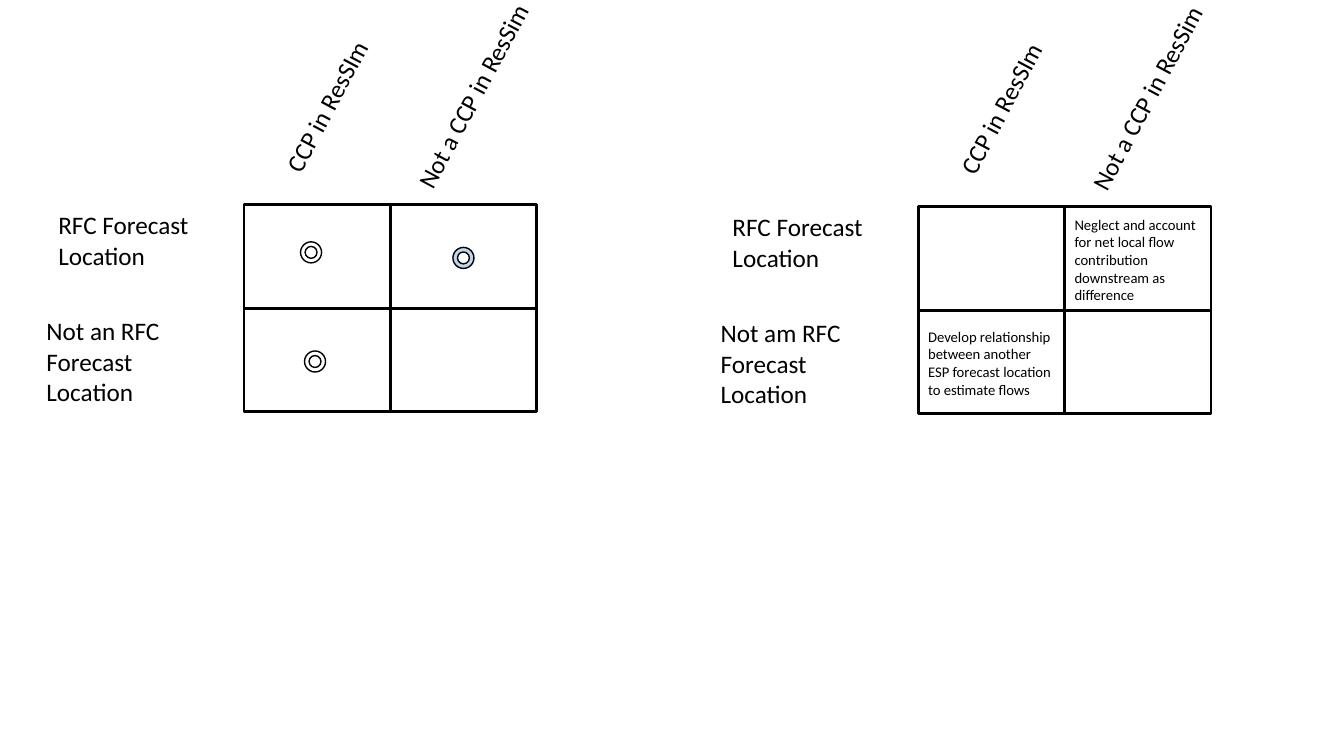
import pptx
import pptx.util
import pptx.dml.color
import pptx.enum.shapes
import pptx.enum.text
import pptx.oxml.ns
from lxml import etree
from pptx.util import Cm

COLORS = {"ink": "000000", "paper": "FFFFFF", "highlight": "BDD7EE"}
CELL_WIDTH, CELL_HEIGHT = 3.69, 2.61


def color(name):
    return pptx.dml.color.RGBColor.from_string(COLORS[name])


class MatrixPage:
    """Draws on one page in a shared style; lengths are centimetres."""

    font = "Calibri"
    shapes_kind = pptx.enum.shapes.MSO_SHAPE

    def __init__(self, page):
        self.page = page

    def outline(self, item, weight):
        item.line.color.rgb = color("ink")
        item.line.width = pptx.util.Pt(weight)

    def shape(self, kind, left, top, width, height, fill=None, weight=1):
        box = self.page.shapes.add_shape(kind, Cm(left), Cm(top), Cm(width), Cm(height))
        box.shadow.inherit = False
        if fill:
            box.fill.solid()
            box.fill.fore_color.rgb = color(fill)
        else:
            box.fill.background()
        self.outline(box, weight)

    def line(self, left, top, right, bottom):
        rule = self.page.shapes.add_connector(
            pptx.enum.shapes.MSO_CONNECTOR.STRAIGHT,
            Cm(left), Cm(top), Cm(right), Cm(bottom))
        self.outline(rule, 2)
        etree.SubElement(rule._element.spPr, pptx.oxml.ns.qn("a:effectLst"))

    def text(self, words, left, top, width, height, size=18, rotation=0):
        box = self.page.shapes.add_textbox(Cm(left), Cm(top), Cm(width), Cm(height))
        box.rotation = rotation
        frame = box.text_frame
        frame.word_wrap = rotation == 0
        frame.auto_size = pptx.enum.text.MSO_AUTO_SIZE.SHAPE_TO_FIT_TEXT
        frame.text = words
        font = frame.paragraphs[0].runs[0].font
        font.name = self.font
        font.size = pptx.util.Pt(size)
        font.color.rgb = color("ink")

    def matrix(self, left, top, second_row):
        width, height = 2 * CELL_WIDTH, 2 * CELL_HEIGHT
        self.shape(self.shapes_kind.RECTANGLE, left, top, width, height, weight=2)
        # Slanted column labels
        self.text("CCP in ResSIm", left - 0.1, top - 3.18, 4.55, 1.02, rotation=298.1)
        self.text("Not a CCP in ResSim", left + 2.9, top - 3.3, 5.77, 1.02, rotation=298.1)
        # Row labels
        self.text("RFC Forecast Location", left - 4.93, top, 4.7, 1.8)
        self.text(second_row, left - 5.23, top + 2.67, 4.7, 2.57)
        # Inner dividers
        self.line(left + CELL_WIDTH, top, left + CELL_WIDTH, top + height)
        self.line(left, top + CELL_HEIGHT, left + width, top + CELL_HEIGHT)

    def marker(self, center_x, center_y, ring_fill):
        for diameter, fill in ((0.53, ring_fill), (0.3, "paper")):
            self.shape(self.shapes_kind.OVAL, center_x - diameter / 2,
                       center_y - diameter / 2, diameter, diameter, fill)


def main():
    deck = pptx.Presentation()
    deck.slide_width, deck.slide_height = Cm(33.87), Cm(19.05)
    page = MatrixPage(deck.slides.add_slide(deck.slide_layouts[6]))

    # Left matrix with location markers
    page.matrix(6.15, 5.16, "Not an RFC Forecast Location")
    page.marker(7.84, 6.36, "paper")
    page.marker(11.68, 6.5, "highlight")
    page.marker(7.94, 9.11, "paper")

    # Right matrix with the treatment of each case
    left, top = 23.14, 5.21
    page.matrix(left, top, "Not am RFC Forecast Location")
    page.text("Develop relationship between another ESP forecast location to estimate flows",
              left, top + 2.92, CELL_WIDTH, 2.06, size=10.5)
    page.text("Neglect and account for net local flow contribution downstream as difference",
              left + CELL_WIDTH, top + 0.1, CELL_WIDTH, 2.49, size=10.5)

    deck.save("out.pptx")


if __name__ == "__main__":
    main()
